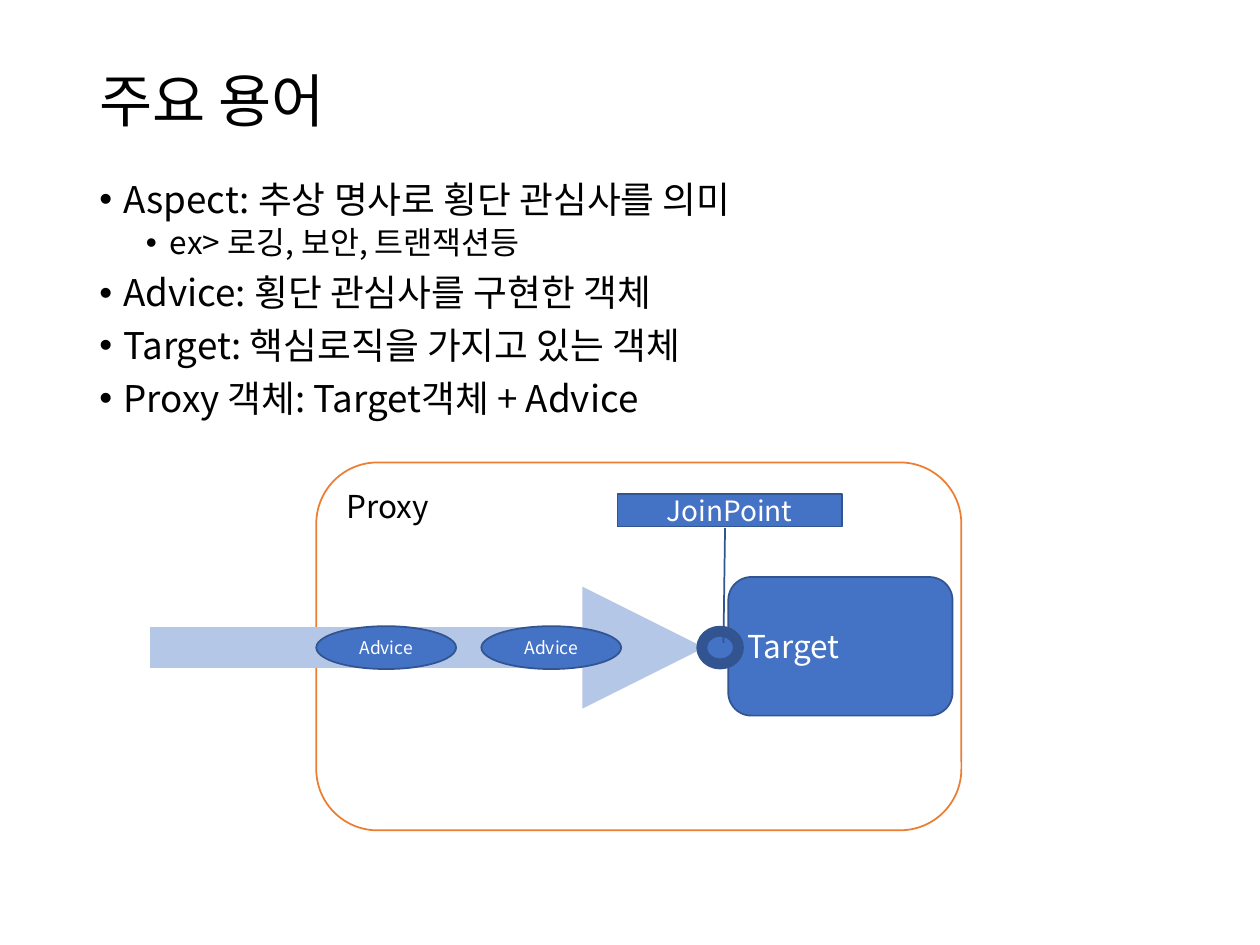
from lxml import etree
from pptx import Presentation
from pptx.dml.color import RGBColor
from pptx.enum.shapes import MSO_CONNECTOR, MSO_SHAPE
from pptx.enum.text import MSO_ANCHOR, PP_ALIGN
from pptx.oxml.ns import qn
from pptx.util import Inches, Pt

FONT = "Noto Sans CJK KR"
BLACK, WHITE = "000000", "FFFFFF"
BLUE, NAVY, PALE, ORANGE = "4472C4", "325491", "B4C7E7", "ED7D31"
LEFT, CENTER = PP_ALIGN.LEFT, PP_ALIGN.CENTER
TOP, MIDDLE = MSO_ANCHOR.TOP, MSO_ANCHOR.MIDDLE
ROUNDED, OVAL = MSO_SHAPE.ROUNDED_RECTANGLE, MSO_SHAPE.OVAL
CALLOUT = MSO_SHAPE.LINE_CALLOUT_1

TITLE = "주요 용어"
TERMS = [  # level, text
    (0, "Aspect: 추상 명사로 횡단 관심사를 의미"),
    (1, "ex> 로깅, 보안, 트랜잭션등"),
    (0, "Advice: 횡단 관심사를 구현한 객체"),
    (0, "Target: 핵심로직을 가지고 있는 객체"),
    (0, "Proxy 객체: Target객체 + Advice"),
]
# Per level: font size, left margin in inches, space before
LEVELS = [(21, 0.19, 7.5), (18, 0.56, 3.8)]
HANGING = 0.19

PROXY = (2.51, 3.67, 5.12, 2.92)
TARGET = (5.78, 4.58, 1.78, 1.1)
JOIN_POINT = (5.57, 5.01, 0.29, 0.26)
JOIN_POINT_LABEL = (4.9, 3.92, 1.78, 0.26)
CALLOUT_LINE = (1.045, 0.48, 4.554, 0.473)
CALL_START, CALL_END, CALL_Y = 1.19, 5.59, 5.14
ADVICE_SIZE, ADVICE_STEP, ADVICE_COUNT = (1.11, 0.34), 1.31, 2


def color(value):
    return RGBColor.from_string(value)


def place(shape, box):
    shape.left, shape.top, shape.width, shape.height = map(Inches, box)


def add_run(para, text, size, ink):
    run = para.add_run()
    run.text = text
    run.font.size = Pt(size)
    run.font.color.rgb = color(ink)
    run.font.name = FONT
    etree.SubElement(run.font._element, qn("a:ea"), typeface=FONT)


def add_bullet(para, margin):
    properties = para._p.get_or_add_pPr()
    properties.set("marL", str(Inches(margin)))
    properties.set("indent", str(-Inches(HANGING)))
    etree.SubElement(properties, qn("a:buFont"), typeface="Arial")
    etree.SubElement(properties, qn("a:buChar"), char="•")


def add_node(page, kind, box, text="", size=18, fill=BLUE, line=NAVY,
             ink=WHITE, align=CENTER, anchor=MIDDLE, line_width=1):
    node = page.shapes.add_shape(kind, *map(Inches, box))
    node.shadow.inherit = False
    node.fill.solid()
    node.fill.fore_color.rgb = color(fill)
    node.line.color.rgb = color(line)
    node.line.width = Pt(line_width)
    if text:
        frame = node.text_frame
        frame.vertical_anchor = anchor
        frame.paragraphs[0].alignment = align
        add_run(frame.paragraphs[0], text, size, ink)
    return node


def add_title(page):
    title = page.shapes.title
    place(title, (0.69, 0.4, 8.62, 0.85))
    title.text_frame.vertical_anchor = MIDDLE
    para = title.text_frame.paragraphs[0]
    para.alignment = LEFT
    para.line_spacing = 0.9
    add_run(para, TITLE, 33, BLACK)


def add_terms(page):
    box = page.shapes.add_textbox(*map(Inches, (0.69, 1.39, 8.62, 5.37)))
    frame = box.text_frame
    frame.word_wrap = True
    for index, (level, text) in enumerate(TERMS):
        para = frame.add_paragraph() if index else frame.paragraphs[0]
        size, margin, space = LEVELS[level]
        para.level = level
        para.line_spacing = 0.9
        para.space_before = Pt(space)
        add_bullet(para, margin)
        add_run(para, text, size, BLACK)


def add_call_arrow(page):
    arrow = page.shapes.add_connector(
        MSO_CONNECTOR.STRAIGHT, Inches(CALL_START), Inches(CALL_Y),
        Inches(CALL_END), Inches(CALL_Y))
    arrow.line.color.rgb = color(PALE)
    arrow.line.width = Pt(23.25)
    etree.SubElement(arrow.line._get_or_add_ln(), qn("a:tailEnd"), type="triangle")
    etree.SubElement(arrow._element.spPr, qn("a:effectLst"))


def add_diagram(page):
    add_node(page, ROUNDED, PROXY, "Proxy", fill=WHITE, line=ORANGE,
             ink=BLACK, align=LEFT, anchor=TOP)
    add_node(page, ROUNDED, TARGET, "Target", align=LEFT)
    add_call_arrow(page)
    width, height = ADVICE_SIZE
    for index in range(ADVICE_COUNT):
        left = PROXY[0] + index * ADVICE_STEP
        add_node(page, OVAL, (left, CALL_Y - height / 2, width, height), "Advice", 10)
    add_node(page, OVAL, JOIN_POINT, line_width=6.25)
    label = add_node(page, CALLOUT, JOIN_POINT_LABEL, "JoinPoint", 16)
    for index, value in enumerate(CALLOUT_LINE):
        label.adjustments[index] = value


def main():
    deck = Presentation()
    deck.slide_width, deck.slide_height = Inches(10), Inches(7.5)
    page = deck.slides.add_slide(deck.slide_layouts.get_by_name("Title Only"))
    add_title(page)
    add_terms(page)
    add_diagram(page)
    deck.save("out.pptx")


if __name__ == "__main__":
    main()
